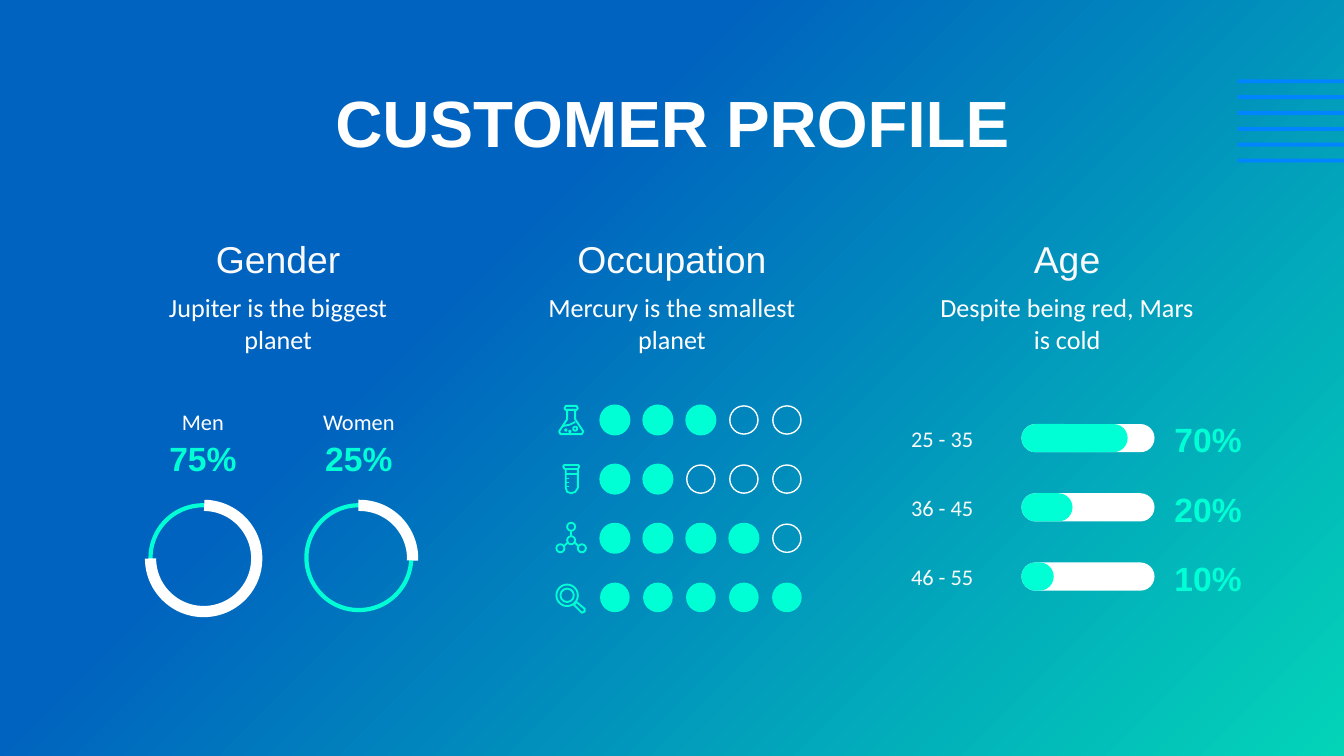
"""Build the customer profile slide with gender, occupation and age panels."""
from dataclasses import dataclass

from lxml.etree import SubElement
from pptx import Presentation
from pptx.dml.color import RGBColor
from pptx.enum.shapes import MSO_CONNECTOR, MSO_SHAPE
from pptx.enum.text import MSO_ANCHOR, PP_ALIGN
from pptx.oxml.ns import qn
from pptx.shapes.autoshape import Shape
from pptx.shapes.shapetree import SlideShapes
from pptx.slide import Slide
from pptx.util import Inches, Pt

NAVY = RGBColor(0x00, 0x63, 0xBF)
TEAL = RGBColor(0x03, 0xD4, 0xB8)
BLUE = RGBColor(0x00, 0x84, 0xFF)
MINT = RGBColor(0x00, 0xFF, 0xD5)
WHITE = RGBColor(0xFF, 0xFF, 0xFF)
PALE = RGBColor(0xFA, 0xFA, 0xFA)

Point = tuple[float, float]
Box = tuple[float, float, float, float]


@dataclass(frozen=True)
class Style:
    font: str
    size: float
    color: RGBColor
    bold: bool = False
    align: PP_ALIGN = PP_ALIGN.CENTER
    anchor: MSO_ANCHOR = MSO_ANCHOR.MIDDLE
    inset: float = 0


@dataclass(frozen=True)
class Panel:
    left: float
    heading: str
    summary: str


@dataclass(frozen=True)
class Gender:
    left: float
    name: str
    share: str
    rotation: int
    arc_start: float
    arc_end: float


@dataclass(frozen=True)
class Occupation:
    filled: int
    border: float
    rings: tuple[tuple[float, float, float], ...]
    outlines: tuple[tuple[Point, ...], ...]
    strokes: tuple[tuple[Point, ...], ...]


@dataclass(frozen=True)
class AgeBand:
    label: str
    share: str
    fill_width: float


TITLE = Style("Arial", 35, WHITE, bold=True, inset=0.1)
HEADING = Style("Arial", 20, PALE)
SUMMARY = Style("Calibri", 14, WHITE, anchor=MSO_ANCHOR.TOP)
GENDER_NAME = Style("Calibri", 12, WHITE)
GENDER_SHARE = Style("Arial", 18, MINT, bold=True)
AGE_LABEL = Style("Calibri", 12, PALE, align=PP_ALIGN.LEFT, inset=0.1)
AGE_SHARE = Style("Arial", 18, MINT, True, PP_ALIGN.LEFT, MSO_ANCHOR.TOP, 0.1)

PANELS = (
    Panel(1.05, "Gender", "Jupiter is the biggest planet"),
    Panel(3.98, "Occupation", "Mercury is the smallest planet"),
    Panel(6.92, "Age", "Despite being red, Mars is cold"),
)
GENDERS = (
    Gender(1.11, "Men", "75%", 180, 54.36, 0),
    Gender(2.27, "Women", "25%", 270, 215.27, 55.33),
)
FLASK = Occupation(
    3, 1.5,
    ((4.28, 3.19, 0.015), (4.24, 3.21, 0.005), (4.21, 3.2, 0.005)),
    (
        ((4.21, 3.02), (4.29, 3.02), (4.3, 3.04), (4.29, 3.05), (4.21, 3.05), (4.2, 3.04)),
        ((4.22, 3.05), (4.22, 3.12), (4.16, 3.21), (4.17, 3.23),
         (4.33, 3.23), (4.34, 3.21), (4.28, 3.12), (4.28, 3.05)),
    ),
    (((4.19, 3.17), (4.24, 3.16), (4.28, 3.14)),),
)
TUBE = Occupation(
    2, 1.5, (),
    (
        ((4.2, 3.46), (4.3, 3.46), (4.31, 3.47), (4.3, 3.49), (4.2, 3.49), (4.19, 3.47)),
        ((4.21, 3.49), (4.21, 3.63), (4.22, 3.66), (4.25, 3.67),
         (4.28, 3.66), (4.3, 3.63), (4.3, 3.49)),
    ),
    tuple(((4.21, y), (end, y)) for y, end in ((3.53, 4.3), (3.56, 4.23), (3.59, 4.23), (3.62, 4.23))),
)
MOLECULE = Occupation(
    4, 1.5,
    tuple((x, y, 0.03) for x, y in ((4.25, 3.92), (4.25, 4.02), (4.17, 4.08), (4.33, 4.08))),
    (),
    (((4.25, 3.95), (4.25, 3.99)), ((4.23, 4.03), (4.2, 4.06)), ((4.27, 4.03), (4.3, 4.06))),
)
MAGNIFIER = Occupation(
    5, 0.75,
    ((4.22, 4.43, 0.08), (4.22, 4.43, 0.05)),
    (((4.29, 4.48), (4.35, 4.53), (4.35, 4.55), (4.33, 4.56), (4.27, 4.5)),),
    (),
)
OCCUPATIONS = (FLASK, TUBE, MOLECULE, MAGNIFIER)
AGE_BANDS = (
    AgeBand("25 - 35", "70%", 0.79),
    AgeBand("36 - 45", "20%", 0.38),
    AgeBand("46 - 55", "10%", 0.24),
)


def paint(shape: Shape, fill: RGBColor | None, line: RGBColor | None = None, width: float = 0) -> None:
    """Set the fill and outline of a shape and drop its shadow."""
    shape.shadow.inherit = False
    if fill is None:
        shape.fill.background()
    else:
        shape.fill.solid()
        shape.fill.fore_color.rgb = fill
    if line is None:
        shape.line.fill.background()
    else:
        shape.line.color.rgb = line
        shape.line.width = Pt(width)


def add_preset(shapes: SlideShapes, kind: MSO_SHAPE, box: Box, fill: RGBColor | None,
               line: RGBColor | None = None, width: float = 0) -> Shape:
    """Add a painted preset shape."""
    preset = shapes.add_shape(kind, *map(Inches, box))
    paint(preset, fill, line, width)
    return preset


def add_label(shapes: SlideShapes, box: Box, wording: str, style: Style) -> None:
    """Add a single-run text box."""
    frame = shapes.add_textbox(*map(Inches, box)).text_frame
    frame.word_wrap = True
    frame.vertical_anchor = style.anchor
    frame.margin_left = frame.margin_right = Inches(style.inset)
    frame.margin_top = frame.margin_bottom = Inches(style.inset)
    paragraph = frame.paragraphs[0]
    paragraph.alignment = style.align
    run = paragraph.add_run()
    run.text = wording
    run.font.name = style.font
    run.font.size = Pt(style.size)
    run.font.bold = style.bold
    run.font.color.rgb = style.color


def add_outline(shapes: SlideShapes, points: tuple[Point, ...]) -> None:
    """Add a closed icon outline."""
    start, *rest = [(Inches(x), Inches(y)) for x, y in points]
    builder = shapes.build_freeform(*start)
    builder.add_line_segments(rest, close=True)
    paint(builder.convert_to_shape(), None, MINT, 1)


def add_stroke(shapes: SlideShapes, points: tuple[Point, ...]) -> None:
    """Add an open icon stroke as joined connectors."""
    for begin, end in zip(points, points[1:]):
        stroke = shapes.add_connector(MSO_CONNECTOR.STRAIGHT, *map(Inches, begin + end))
        stroke.line.color.rgb = MINT
        stroke.line.width = Pt(1)
        SubElement(stroke._element.spPr, qn("a:effectLst"))


def add_gender(shapes: SlideShapes, gender: Gender) -> None:
    """Add a gender share with its ring gauge."""
    add_label(shapes, (gender.left, 3.01, 0.8, 0.25), gender.name, GENDER_NAME)
    add_label(shapes, (gender.left, 3.25, 0.8, 0.31), gender.share, GENDER_SHARE)
    ring = (gender.left + 0.01, 3.76, 0.78, 0.78)
    add_preset(shapes, MSO_SHAPE.OVAL, ring, None, MINT, 2.25)
    arc = add_preset(shapes, MSO_SHAPE.ARC, (*ring[:2], 0.79, 0.79), None, WHITE, 6)
    arc.adjustments[0], arc.adjustments[1] = gender.arc_start, gender.arc_end
    arc.rotation = gender.rotation


def add_occupation(shapes: SlideShapes, occupation: Occupation, top: float) -> None:
    """Add an occupation icon and its five-dot score."""
    for outline in occupation.outlines:
        add_outline(shapes, outline)
    for stroke in occupation.strokes:
        add_stroke(shapes, stroke)
    for x, y, radius in occupation.rings:
        add_preset(shapes, MSO_SHAPE.OVAL, (x - radius, y - radius, 2 * radius, 2 * radius), None, MINT, 1)
    for index in range(5):
        dot = (4.47 + index * 0.32, top, 0.21, 0.21)
        if index < occupation.filled:
            add_preset(shapes, MSO_SHAPE.OVAL, dot, MINT, MINT, occupation.border)
        else:
            add_preset(shapes, MSO_SHAPE.OVAL, dot, None, WHITE, 0.75)


def add_age_band(shapes: SlideShapes, band: AgeBand, middle: float) -> None:
    """Add an age band with its progress bar."""
    add_label(shapes, (6.68, middle - 0.1, 0.92, 0.2), band.label, AGE_LABEL)
    add_label(shapes, (8.64, middle - 0.24, 0.72, 0.45), band.share, AGE_SHARE)
    thickness = 0.21
    for length, color in ((0.99, WHITE), (band.fill_width, MINT)):
        box = (7.6 + (length - thickness) / 2, middle - length / 2, thickness, length)
        bar = add_preset(shapes, MSO_SHAPE.ROUND_2_SAME_RECTANGLE, box, color)
        bar.adjustments[0] = bar.adjustments[1] = 0.5
        bar.rotation = 90


def paint_background(slide: Slide) -> None:
    """Give the slide its diagonal gradient."""
    fill = slide.background.fill
    fill.gradient()
    fill.gradient_angle = 315
    for stop, position, color in zip(fill.gradient_stops, (0.35, 1), (NAVY, TEAL)):
        stop.position = position
        stop.color.rgb = color


def main() -> None:
    """Build and save the slide."""
    deck = Presentation()
    deck.slide_width, deck.slide_height = Inches(10), Inches(10 * 9 / 16)
    slide = deck.slides.add_slide(deck.slide_layouts[6])
    paint_background(slide)
    shapes = slide.shapes
    for index in range(6):
        add_preset(shapes, MSO_SHAPE.RECTANGLE, (9.21, 0.59 + index * 0.59 / 5, 2.56, 0.03), BLUE)
    add_label(shapes, (0.79, 0.59, 8.43, 0.63), "CUSTOMER PROFILE", TITLE)
    for panel in PANELS:
        add_label(shapes, (panel.left, 1.73, 2.04, 0.39), panel.heading, HEADING)
        add_label(shapes, (panel.left, 2.17, 2.04, 0.5), panel.summary, SUMMARY)
    for gender in GENDERS:
        add_gender(shapes, gender)
    for index, occupation in enumerate(OCCUPATIONS):
        add_occupation(shapes, occupation, 3.02 + index * 0.44)
    for index, band in enumerate(AGE_BANDS):
        add_age_band(shapes, band, 3.26 + index * 1.03 / 2)
    deck.save("out.pptx")


if __name__ == "__main__":
    main()
